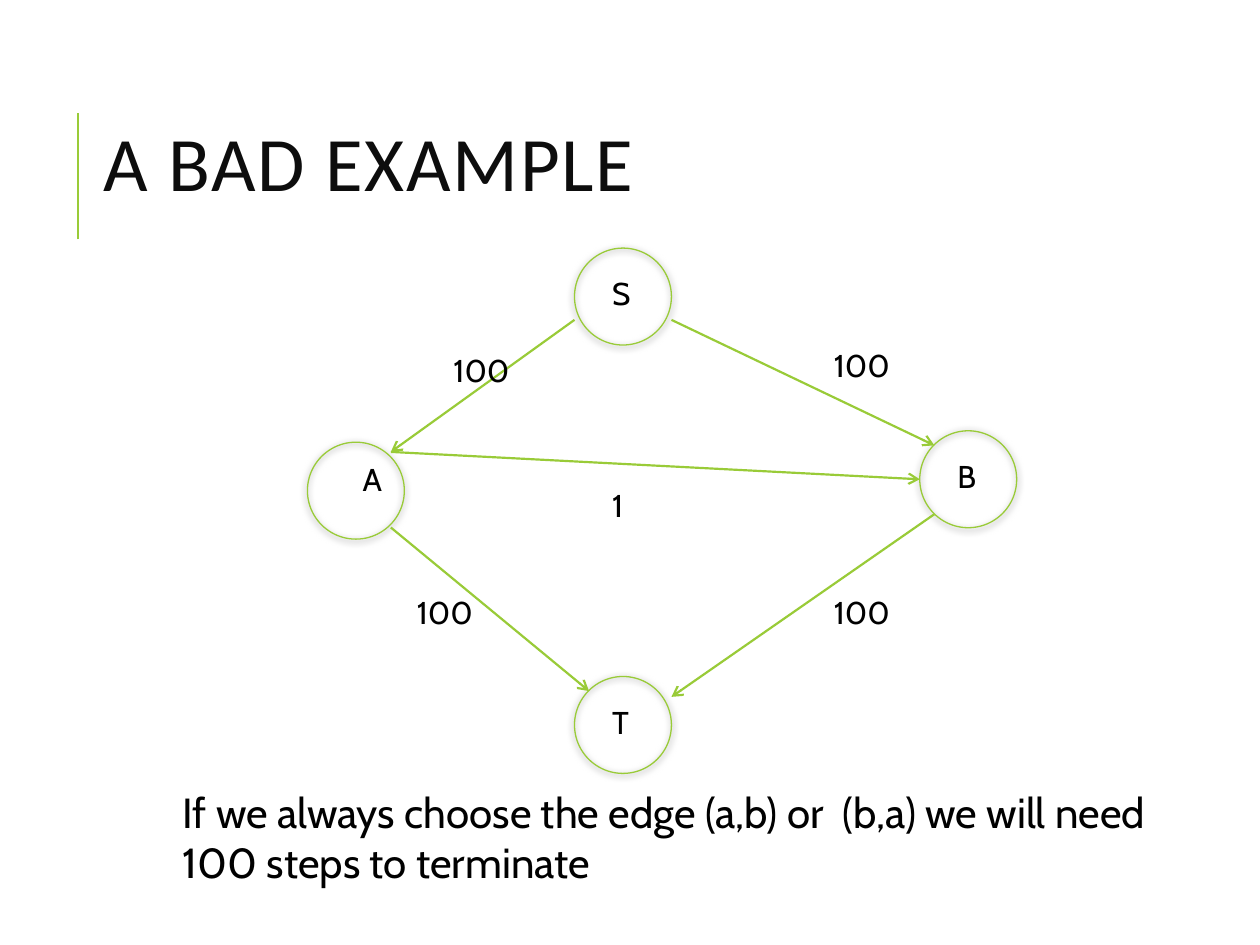
from lxml.etree import SubElement
from pptx import Presentation
from pptx.dml.color import RGBColor
from pptx.enum.shapes import MSO_CONNECTOR as Connector, MSO_SHAPE as Shape
from pptx.enum.text import MSO_ANCHOR as Anchor, PP_ALIGN as Align
from pptx.oxml.ns import qn
from pptx.util import Pt

GREEN = RGBColor(0x99, 0xCB, 0x38)
INK = RGBColor(0x0D, 0x0D, 0x0D)
BLACK = RGBColor(0, 0, 0)

DIAMETER = 55.4
# Node name: (left, top, label offset x, label offset y)
NODES = {
    "S": (328.3, 141.8, 14.4, 11.5),
    "T": (328.3, 386.6, 14.4, 11.5),
    "B": (525.6, 246.2, 14.4, 11.5),
    "A": (175.7, 252.7, 24.5, 6.5),
}
# Places on a node, as fractions of its bounding box
UPPER_LEFT, UPPER_RIGHT = (0.15, 0.15), (0.86, 0.1)
LOWER_LEFT, LOWER_RIGHT = (0.15, 0.86), (0.86, 0.88)
LEFT = (0, 0.5)
EDGES = [
    ("S", (0, 0.74), "A", UPPER_RIGHT),
    ("A", LOWER_RIGHT, "T", UPPER_LEFT),
    ("S", (1, 0.74), "B", UPPER_LEFT),
    ("B", LOWER_LEFT, "T", (1, 0.21)),
    ("A", UPPER_RIGHT, "B", LEFT),
]
# Edge capacity: (text, left, top)
CAPACITIES = [
    ("1", 342.7, 274.3),
    ("100", 252, 197.3),
    ("100", 469.4, 194.4),
    ("100", 231.1, 335.5),
    ("100", 469.4, 335.5),
]


def add_title(slide, text):
    title = slide.shapes.title
    title.left, title.top, title.width, title.height = Pt(51.8), Pt(51.8), Pt(553), Pt(90)
    frame = title.text_frame
    frame.text = text
    frame.vertical_anchor = Anchor.MIDDLE
    heading = frame.paragraphs[0]
    heading.alignment = Align.LEFT
    heading.line_spacing = 0.8
    heading.font.name, heading.font.size = "Calibri", Pt(44)
    heading.font.color.rgb = INK
    heading.runs[0].font._element.set("spc", "100")


def add_label(slide, text, left, top, width, height=28.8, size=18):
    label = slide.shapes.add_textbox(Pt(left), Pt(top), Pt(width), Pt(height))
    frame = label.text_frame
    frame.word_wrap = True
    frame.text = text
    font = frame.paragraphs[0].font
    font.name, font.size = "Cabin", Pt(size)
    font.color.rgb = BLACK


def add_line(slide, start, end, weight, arrow=False):
    line = slide.shapes.add_connector(Connector.STRAIGHT, *map(Pt, start + end))
    line.line.color.rgb = GREEN
    line.line.width = Pt(weight)
    if arrow:
        SubElement(line.line._get_or_add_ln(), qn("a:tailEnd"), type="arrow")
    SubElement(line._element.spPr, qn("a:effectLst"))


def add_soft_shadow(shape):
    shape.shadow.inherit = False
    effects = shape._element.spPr.find(qn("a:effectLst"))
    shadow = SubElement(effects, qn("a:outerShdw"), blurRad=str(Pt(4)),
                        dist=str(Pt(1)), dir="5400000", rotWithShape="0")
    color = SubElement(shadow, qn("a:srgbClr"), val=str(BLACK))
    SubElement(color, qn("a:alpha"), val="50000")


def add_node(slide, name):
    left, top, dx, dy = NODES[name]
    circle = slide.shapes.add_shape(Shape.OVAL, Pt(left), Pt(top), Pt(DIAMETER), Pt(DIAMETER))
    circle.fill.background()
    circle.line.color.rgb = GREEN
    circle.line.width = Pt(0.75)
    add_soft_shadow(circle)
    add_label(slide, name, left + dx, top + dy, 28)


def point_on(name, place):
    left, top = NODES[name][:2]
    return left + place[0] * DIAMETER, top + place[1] * DIAMETER


def main():
    deck = Presentation()
    deck.slide_width, deck.slide_height = Pt(720), Pt(540)
    slide = deck.slides.add_slide(deck.slide_layouts[5])

    # Heading with its accent rule
    add_line(slide, (44.6, 136.8), (44.6, 64.8), 1.5)
    add_title(slide, "A BAD EXAMPLE")

    # Flow network
    for name in NODES:
        add_node(slide, name)
    for tail, tail_place, head, head_place in EDGES:
        add_line(slide, point_on(tail, tail_place), point_on(head, head_place), 1.25, arrow=True)
    for capacity, left, top in CAPACITIES:
        add_label(slide, capacity, left, top, 28 if len(capacity) == 1 else 56)

    # Conclusion
    add_label(slide, "If we always choose the edge (a,b) or  (b,a) we will need 100 steps to terminate",
              97.2, 445.7, 579.6, 65.5, size=24)

    deck.save("out.pptx")


if __name__ == "__main__":
    main()
